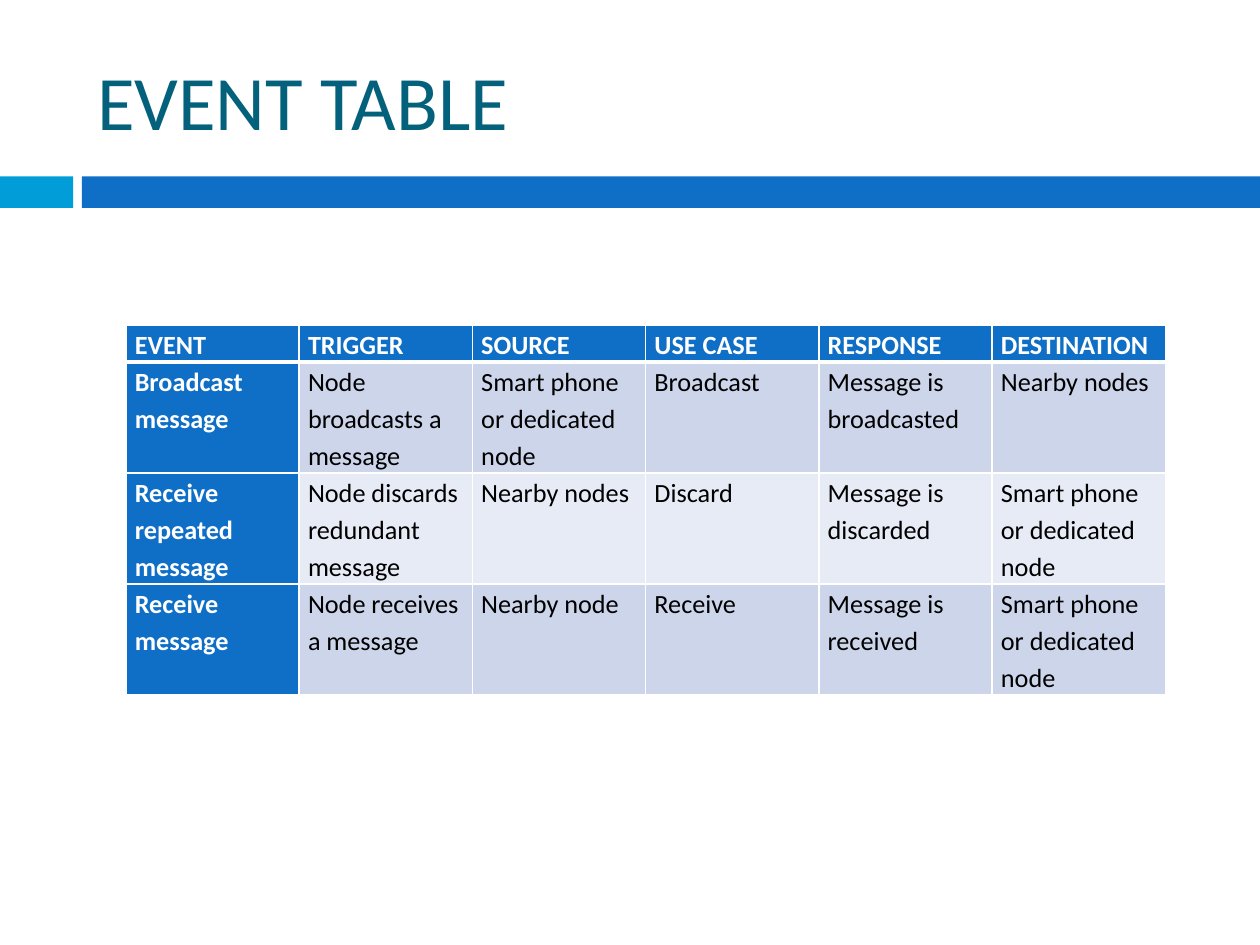
"""Build the event table slide."""
from lxml import etree
from pptx import Presentation
from pptx.dml.color import RGBColor
from pptx.enum.shapes import MSO_SHAPE
from pptx.enum.text import MSO_ANCHOR, PP_ALIGN
from pptx.oxml.ns import qn
from pptx.util import Inches, Pt

RECTANGLE = MSO_SHAPE.RECTANGLE
MIDDLE = MSO_ANCHOR.MIDDLE
LEFT = PP_ALIGN.LEFT
FONT = "Calibri"
COLORS = {
    "title": "04617B", "accent": "009DD9", "blue": "0F6FC6",
    "odd": "CCD5EA", "even": "E7EBF5", "white": "FFFFFF", "black": "000000",
}
ROWS = [
    ["EVENT", "TRIGGER", "SOURCE", "USE CASE", "RESPONSE", "DESTINATION"],
    ["Broadcast message", "Node broadcasts a message", "Smart phone or dedicated node",
     "Broadcast", "Message is broadcasted", "Nearby nodes"],
    ["Receive repeated message", "Node discards redundant message", "Nearby nodes",
     "Discard", "Message is discarded", "Smart phone or dedicated node"],
    ["Receive message", "Node receives a message", "Nearby node",
     "Receive", "Message is received", "Smart phone or dedicated node"],
]


def color(name):
    return RGBColor.from_string(COLORS[name])


def add_border(cell, side, points):
    properties = cell._tc.get_or_add_tcPr()
    line = etree.SubElement(properties, qn(f"a:ln{side}"), w=str(Pt(points)))
    fill = etree.SubElement(line, qn("a:solidFill"))
    etree.SubElement(fill, qn("a:srgbClr"), val=COLORS["white"])


presentation = Presentation()
presentation.slide_width = Inches(10)
presentation.slide_height = Inches(7.5)
slide = presentation.slides.add_slide(presentation.slide_layouts[5])

for left, width, name in [(0, 0.58, "accent"), (0.65, 9.35, "blue")]:
    bar = slide.shapes.add_shape(RECTANGLE, Inches(left), Inches(1.4), Inches(width), Inches(0.25))
    bar.shadow.inherit = False
    bar.fill.solid()
    bar.fill.fore_color.rgb = color(name)
    bar.line.fill.background()

title = slide.shapes.title
title.left, title.top = Inches(0.67), Inches(0.25)
title.width, title.height = Inches(8.92), Inches(1.08)
title.text_frame.text = "EVENT TABLE"
title.text_frame.vertical_anchor = MIDDLE
heading = title.text_frame.paragraphs[0]
heading.alignment = LEFT
heading.font.name = FONT
heading.font.size = Pt(44)
heading.font.color.rgb = color("title")

table = slide.shapes.add_table(
    len(ROWS), len(ROWS[0]), Inches(1), Inches(2.58), Inches(8.25), Inches(2.93)).table
for row_index, texts in enumerate(ROWS):
    table.rows[row_index].height = Inches(0.88 if row_index else 0.26)
    for column_index, text in enumerate(texts):
        is_header = row_index == 0 or column_index == 0
        cell = table.cell(row_index, column_index)
        cell.margin_left = cell.margin_right = Inches(0.07)
        cell.margin_top = cell.margin_bottom = 0
        for side in "LRTB":
            thick = (row_index, side) in [(0, "B"), (1, "T")]
            add_border(cell, side, 3 if thick else 1)
        cell.fill.solid()
        cell.fill.fore_color.rgb = color(
            "blue" if is_header else "odd" if row_index % 2 else "even")
        cell.text = text
        paragraph = cell.text_frame.paragraphs[0]
        paragraph.line_spacing = 1.15
        paragraph.font.name = FONT
        paragraph.font.size = Pt(15)
        paragraph.font.bold = is_header
        paragraph.font.color.rgb = color("white" if is_header else "black")

presentation.save("out.pptx")
